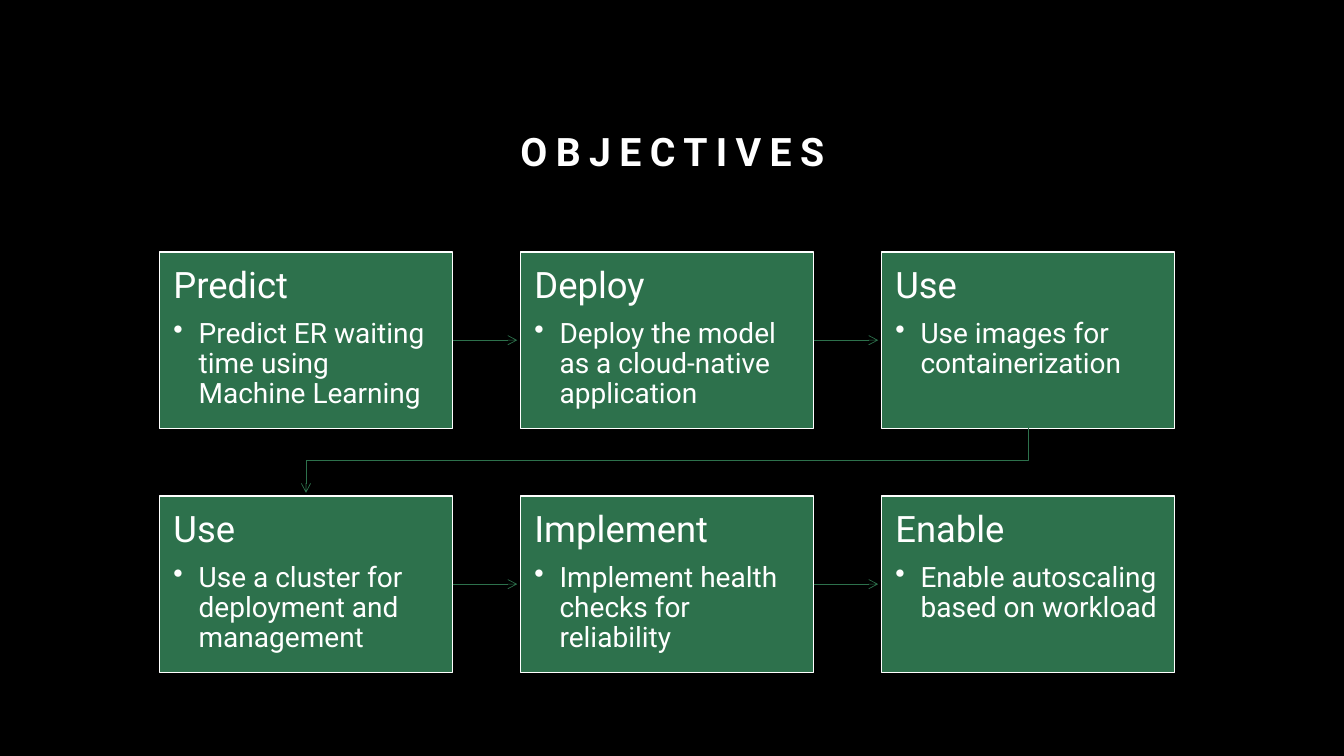
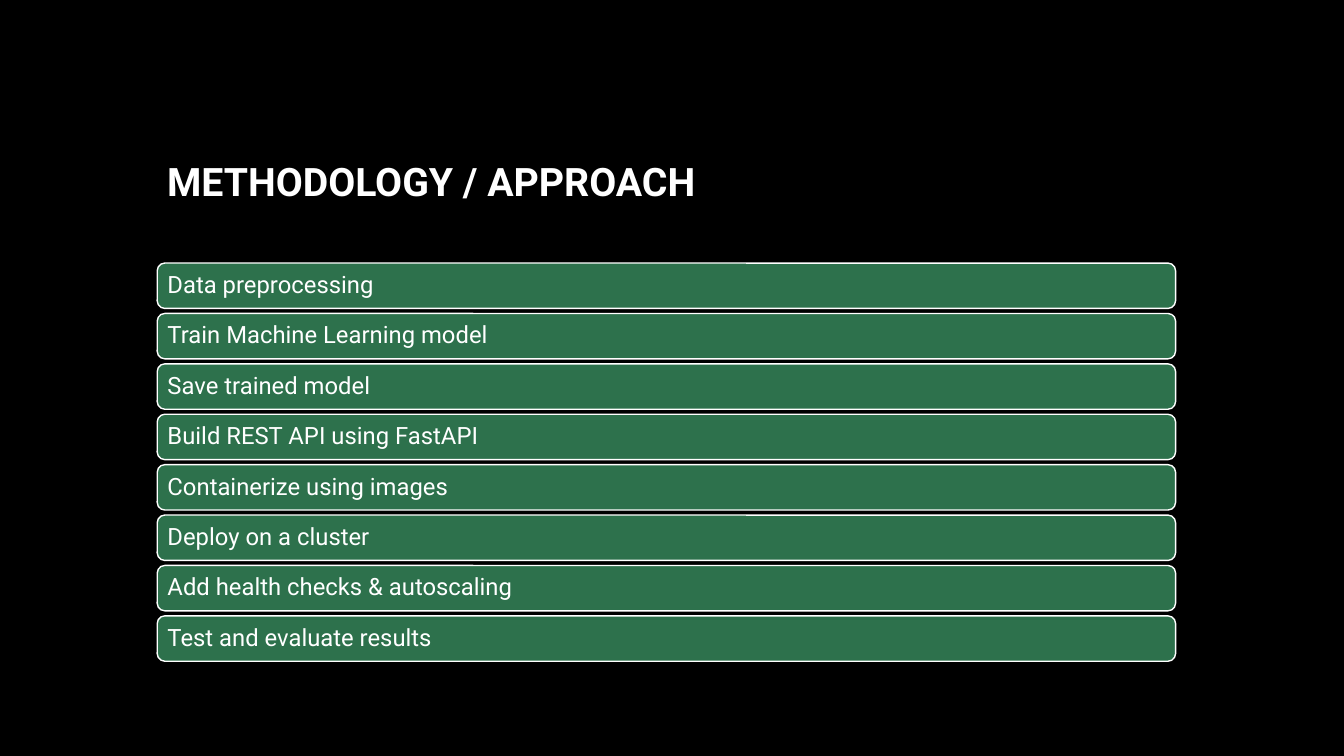
from lxml import etree
from pptx import Presentation
from pptx.dml.color import RGBColor
from pptx.enum.shapes import MSO_CONNECTOR, MSO_SHAPE
from pptx.enum.text import MSO_ANCHOR, PP_ALIGN
from pptx.oxml.ns import qn
from pptx.util import Inches, Pt

RECT, ROUND = MSO_SHAPE.RECTANGLE, MSO_SHAPE.ROUNDED_RECTANGLE
STRAIGHT = MSO_CONNECTOR.STRAIGHT
LEFT, CENTER = PP_ALIGN.LEFT, PP_ALIGN.CENTER
TOP, MIDDLE, BOTTOM = MSO_ANCHOR.TOP, MSO_ANCHOR.MIDDLE, MSO_ANCHOR.BOTTOM

SLIDE_W, SLIDE_H = 13.33, 7.5
FONT = "Roboto"
COLORS = {"back": "000000", "panel": "2D714C", "text": "FFFFFF"}

OBJECTIVES = [
    ("Predict", "Predict ER waiting time using Machine Learning"),
    ("Deploy", "Deploy the model as a cloud-native application"),
    ("Use", "Use images for containerization"),
    ("Use", "Use a cluster for deployment and management"),
    ("Implement", "Implement health checks for reliability"),
    ("Enable", "Enable autoscaling based on workload"),
]
STEPS = [
    "Data preprocessing",
    "Train Machine Learning model",
    "Save trained model",
    "Build REST API using FastAPI",
    "Containerize using images",
    "Deploy on a cluster",
    "Add health checks & autoscaling",
    "Test and evaluate results",
]


def rgb(name):
    return RGBColor.from_string(COLORS[name])


# Shared parts
def new_slide(prs):
    s = prs.slides.add_slide(prs.slide_layouts[6])
    s.background.fill.solid()
    s.background.fill.fore_color.rgb = rgb("back")
    return s


def set_frame(tf, anchor, inset_x, inset_y):
    tf.word_wrap = True
    tf.vertical_anchor = anchor
    tf.margin_left = tf.margin_right = Inches(inset_x)
    tf.margin_top = tf.margin_bottom = Inches(inset_y)


def write(p, text, size, spacing=0.9, after=0, align=LEFT, bold=False):
    p.alignment = align
    p.line_spacing = spacing
    p.space_after = Pt(after)
    r = p.add_run()
    r.text = text
    r.font.name, r.font.size, r.font.bold = FONT, Pt(size), bold
    r.font.color.rgb = rgb("text")
    return r


def add_title(s, box, text, align=LEFT, tracking=0):
    tf = s.shapes.add_textbox(*map(Inches, box)).text_frame
    set_frame(tf, BOTTOM, 0.1, 0.05)
    r = write(tf.paragraphs[0], text, 28, 1.2, align=align, bold=True)
    if tracking:
        r.font._element.set("spc", str(tracking * 100))


def add_panel(s, kind, box):
    sp = s.shapes.add_shape(kind, *map(Inches, box))
    sp.shadow.inherit = False
    sp.fill.solid()
    sp.fill.fore_color.rgb = rgb("panel")
    sp.line.color.rgb = rgb("text")
    sp.line.width = Pt(1)
    return sp


# Arrows
def style_arrow(sp):
    sp.line.color.rgb = rgb("panel")
    sp.line.width = Pt(0.5)
    etree.SubElement(sp.line._get_or_add_ln(), qn("a:tailEnd"), type="arrow")
    etree.SubElement(sp._element.spPr, qn("a:effectLst"))


def add_arrow(s, x1, x2, y):
    style_arrow(s.shapes.add_connector(STRAIGHT, *map(Inches, (x1, y, x2, y))))


def add_return_arrow(s, x1, y1, x2, y2):
    mid = (y1 + y2) / 2
    fb = s.shapes.build_freeform(Inches(x1), Inches(y1))
    bends = [(x1, mid), (x2, mid), (x2, y2)]
    fb.add_line_segments([(Inches(x), Inches(y)) for x, y in bends], close=False)
    sp = fb.convert_to_shape()
    sp.fill.background()
    style_arrow(sp)


# Regions
def add_card(s, box, heading, detail):
    tf = add_panel(s, RECT, box).text_frame
    set_frame(tf, TOP, 0.14, 0.15)
    write(tf.paragraphs[0], heading, 26, after=9)
    p = tf.add_paragraph()
    write(p, detail, 20, after=3)
    pPr = p._p.get_or_add_pPr()
    indent = Inches(0.25)
    pPr.set("marL", str(indent))
    pPr.set("indent", str(-indent))
    etree.SubElement(pPr, qn("a:buChar"), char="•")


def add_card_flow(s, box, items, cols=3, gap=0.67, tip=0.03):
    left, top, width, height = box
    rows = len(items) // cols
    card_w = (width - (cols - 1) * gap) / cols
    card_h = (height - (rows - 1) * gap) / rows
    for i, (heading, detail) in enumerate(items):
        row, col = divmod(i, cols)
        x = left + col * (card_w + gap)
        y = top + row * (card_h + gap)
        add_card(s, (x, y, card_w, card_h), heading, detail)
        if col < cols - 1:
            add_arrow(s, x + card_w, x + card_w + gap - tip, y + card_h / 2)
        elif row < rows - 1:
            bottom = y + card_h
            add_return_arrow(s, x + card_w / 2, bottom,
                             left + card_w / 2, bottom + gap - tip)


def add_step_list(s, box, steps, gap=0.05):
    left, top, width, height = box
    pitch = (height + gap) / len(steps)
    for i, step in enumerate(steps):
        bar = add_panel(s, ROUND, (left, top + i * pitch, width, pitch - gap))
        set_frame(bar.text_frame, MIDDLE, 0.08, 0.05)
        write(bar.text_frame.paragraphs[0], step, 17)


# Slides
def objectives_slide(prs):
    s = new_slide(prs)
    add_title(s, (1.67, 0.83, 10, 0.95), "OBJECTIVES", CENTER, tracking=6)
    add_card_flow(s, (1.58, 2.5, 10.07, 4.17), OBJECTIVES)


def methodology_slide(prs):
    s = new_slide(prs)
    add_title(s, (1.56, 1.14, 10.1, 0.94), "METHODOLOGY / APPROACH")
    add_step_list(s, (1.56, 2.61, 10.1, 3.95), STEPS)


def main():
    prs = Presentation()
    prs.slide_width, prs.slide_height = Inches(SLIDE_W), Inches(SLIDE_H)
    objectives_slide(prs)
    methodology_slide(prs)
    prs.save("out.pptx")


if __name__ == "__main__":
    main()
